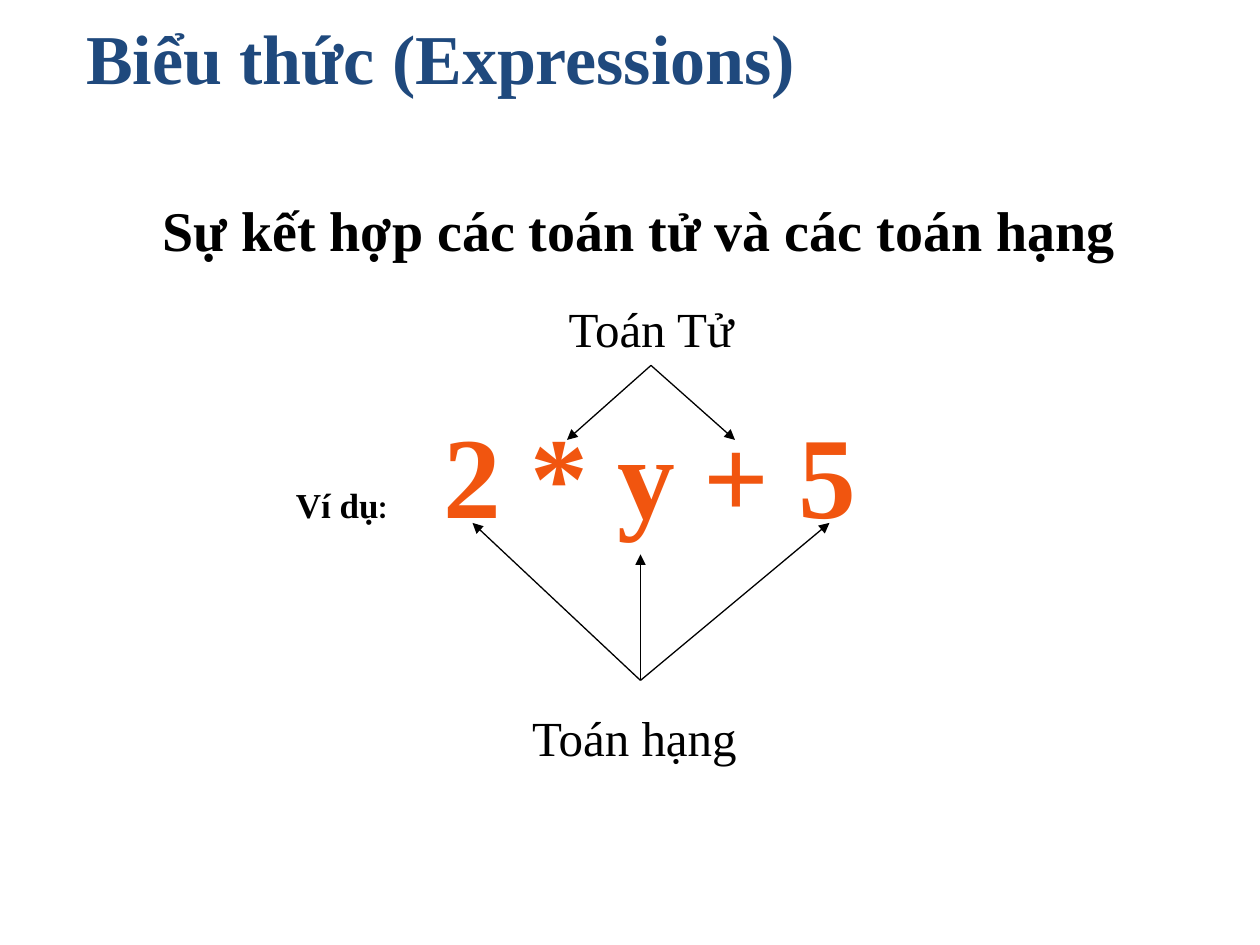
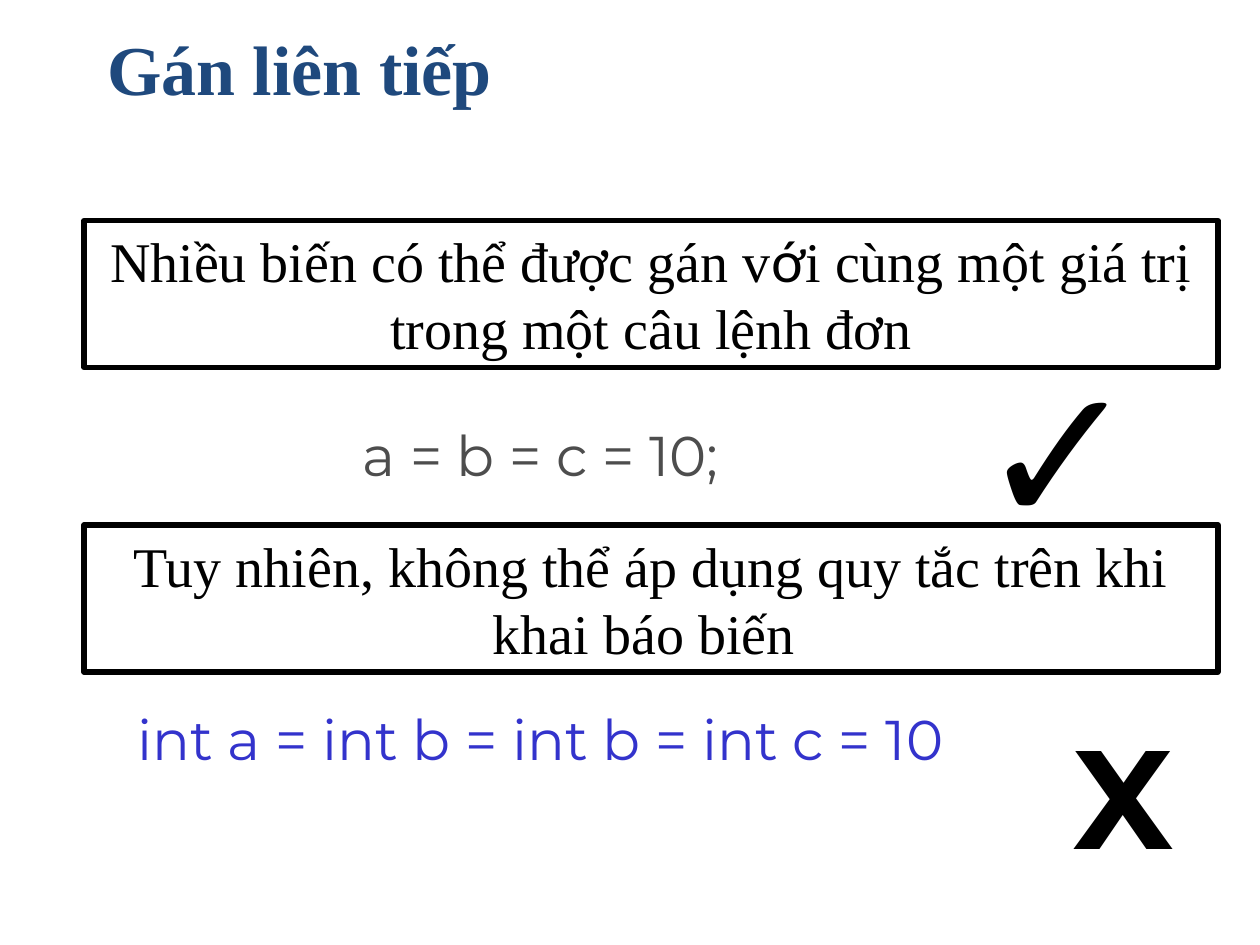
from lxml.etree import SubElement as sub
from pptx import Presentation
from pptx.dml.color import RGBColor
from pptx.enum.shapes import MSO_CONNECTOR as Conn, MSO_SHAPE as Form
from pptx.enum.text import MSO_ANCHOR as Anchor, MSO_AUTO_SIZE as Size, PP_ALIGN as Align
from pptx.oxml.ns import qn
from pptx.util import Inches, Pt

# Grid: 120 columns by 90 rows
COLS, ROWS = 120, 90
WIDE, HIGH = Inches(10), Inches(7.5)
SERIF, SANS, CODE = "Times New Roman", "Lato", "Montserrat"
BLACK, NAVY, ORANGE, GREY, BLUE = "000000", "1F497D", "F1550F", "4D4D4D", "3333CC"


def paint(color, code):
    color.rgb = RGBColor.from_string(code)


class Deck:
    def __init__(self):
        self.prs = Presentation()
        self.prs.slide_width, self.prs.slide_height = WIDE, HIGH
        self.slide = None

    def at(self, *grid):
        units = (WIDE / COLS, HIGH / ROWS) * 2
        return [round(n * unit) for n, unit in zip(grid, units)]

    def style(self, font, size, color=BLACK, bold=False, name=SERIF):
        font.size, font.bold, font.name = Pt(size), bold, name
        paint(font.color, color)

    def label(self, shape, parts, size, align=Align.LEFT, anchor=Anchor.TOP,
              wrap=True, tab=None, **look):
        """Parts is one string, or pairs of a string and its own style."""
        frame = shape.text_frame
        frame.auto_size, frame.word_wrap = Size.NONE, wrap
        frame.vertical_anchor = anchor
        para = frame.paragraphs[0]
        para.alignment = align
        if tab:
            stops = sub(para._p.get_or_add_pPr(), qn("a:tabLst"))
            sub(stops, qn("a:tab"), pos=str(self.at(tab)[0]), algn="l")
        if isinstance(parts, str):
            para.add_run().text = parts
            self.style(para.font, size, **look)
            return
        for text, own in parts:
            run = para.add_run()
            run.text = text
            self.style(run.font, **{"size": size, **look, **own})

    def page(self, title, left, top, width):
        self.slide = self.prs.slides.add_slide(self.prs.slide_layouts[5])
        head = self.slide.shapes.title
        head.left, head.top, head.width, head.height = self.at(left, top, width, 10)
        self.label(head, title, 40, anchor=Anchor.BOTTOM, color=NAVY, bold=True)

    def text(self, grid, parts, size, **look):
        box = self.slide.shapes.add_textbox(*self.at(*grid))
        self.label(box, parts, size, **look)
        return box

    def panel(self, row, parts):
        box = self.slide.shapes.add_shape(Form.RECTANGLE, *self.at(8, row, 108, 14))
        box.shadow.inherit = False
        box.fill.background()
        box.line.width = Pt(3)
        paint(box.line.color, BLACK)
        self.label(box, parts, 32, align=Align.CENTER)

    def arrow(self, start, end, box=None):
        link = self.slide.shapes.add_connector(Conn.STRAIGHT, *self.at(*start, *end))
        if box is not None:
            link.begin_connect(box, 2)
        link.line.width = Pt(0.75)
        paint(link.line.color, BLACK)
        props = link._element.spPr
        sub(props.get_or_add_ln(), qn("a:tailEnd"), type="triangle")
        sub(props, qn("a:effectLst"))


def terms(deck):
    deck.page("Biểu thức (Expressions)", 7, 0, 91)
    deck.text((14.3, 18, 103, 7.7), "Sự kết hợp các toán tử và các toán hạng", 32, bold=True)

    # Operands
    for end in ((45, 49.8), (79, 49.8), (61, 52.8)):
        deck.arrow((61, 64.8), end)
    deck.text((47, 66.8, 28, 6.8), "Toán hạng ", 28, align=Align.CENTER)

    # Operators
    label = deck.text((51, 27.8, 22, 7), "Toán Tử", 28, align=Align.CENTER)
    for col in (54, 70):
        deck.arrow((62, 34.8), (col, 41.9), label)

    # Example
    deck.text((27, 37.8, 69, 14.4), [
        ("Ví dụ", {"size": 20}),
        (":", {"size": 18, "name": SANS}),
        ("\t2 * y + 5", {"color": ORANGE}),
    ], 66, tab=14.1, bold=True)


def chain(deck):
    deck.page("Gán liên tiếp", 9, 1, 57)
    code = {"align": Align.CENTER, "wrap": False, "name": CODE}

    # Allowed
    deck.text((14, 39.5, 75, 8.5), "a = b = c = 10;", 32, color=GREY, **code)
    deck.text((92, 31, 19.3, 23.3), "✓", 110, name="Arial")
    deck.panel(21, [
        ("Nhiều biến có thể được gán v", {}),
        ("ớ", {"name": SANS}),
        ("i cùng một giá trị trong một câu lệnh đơn", {}),
    ])

    # Not allowed
    deck.panel(50, "Tuy nhiên, không thể áp dụng quy tắc trên khi khai báo biến ")
    deck.text((8, 66.5, 87, 8.5), "int a = int b = int b = int c = 10", 32, color=BLUE, **code)
    deck.text((102, 67, 10, 8), "X", 80, bold=True, **code)


def main():
    deck = Deck()
    terms(deck)
    chain(deck)
    deck.prs.save("out.pptx")


if __name__ == "__main__":
    main()
